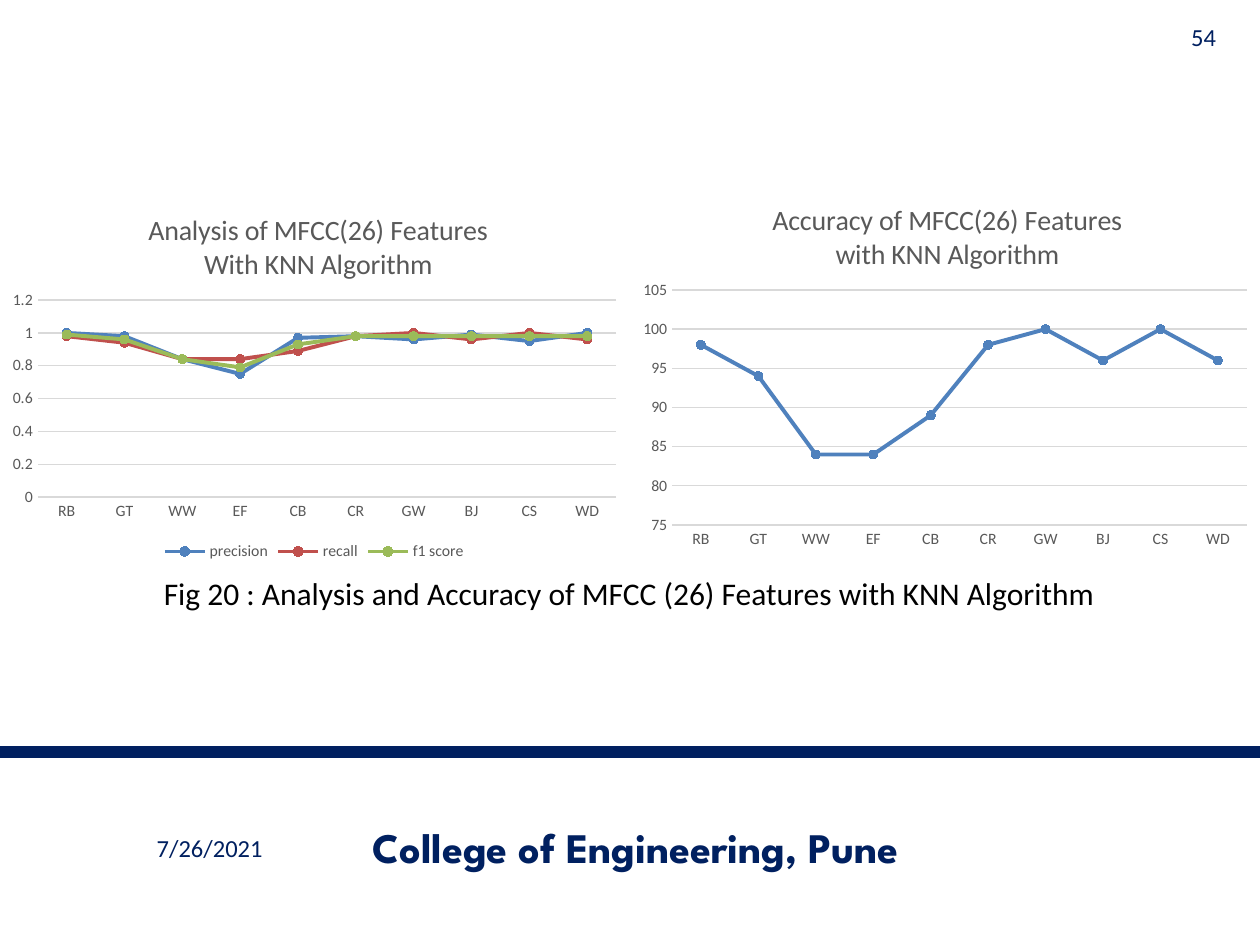
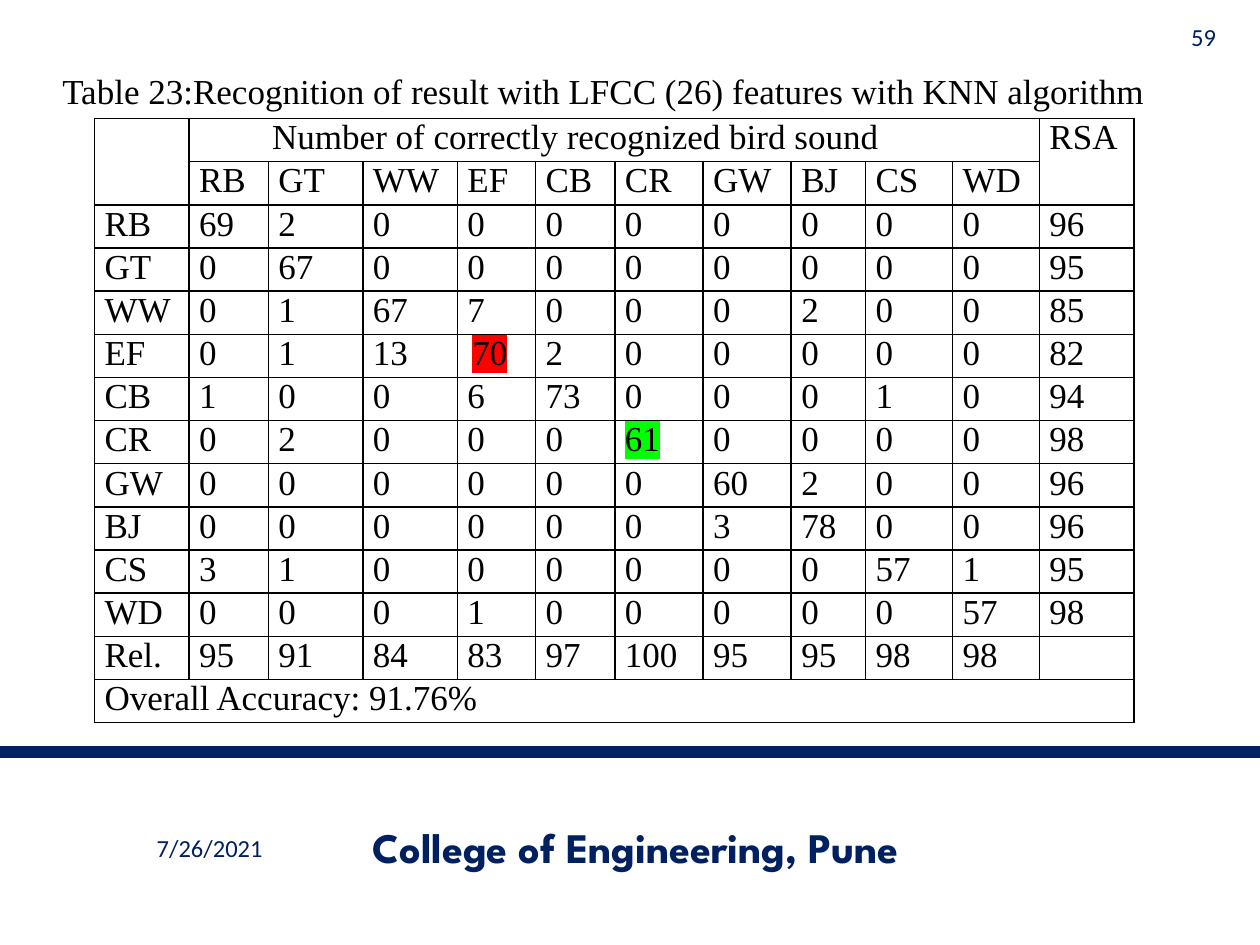
from lxml.etree import SubElement
from pptx import Presentation
from pptx.chart.data import CategoryChartData
from pptx.dml.color import RGBColor
from pptx.enum.chart import XL_CHART_TYPE, XL_LEGEND_POSITION, XL_MARKER_STYLE, XL_TICK_MARK
from pptx.enum.shapes import MSO_CONNECTOR
from pptx.enum.text import MSO_ANCHOR, PP_ALIGN
from pptx.oxml.ns import qn
from pptx.util import Inches, Pt

NAVY = RGBColor(0x00, 0x20, 0x60)
BLACK = RGBColor(0x00, 0x00, 0x00)
CHART_TEXT = RGBColor(0x59, 0x59, 0x59)
GRID_GRAY = RGBColor(0xD9, 0xD9, 0xD9)
SERIES_COLORS = [
    RGBColor(0x4F, 0x81, 0xBD),
    RGBColor(0xC0, 0x50, 0x4D),
    RGBColor(0x9B, 0xBB, 0x59),
]
WEAK_RESULT = RGBColor(0xFF, 0x00, 0x00)
BEST_RESULT = RGBColor(0x00, 0xFF, 0x00)

BODY_FONT = "Calibri"
COLLEGE_FONT = "League Spartan"
TABLE_FONT = "Times New Roman"

BIRDS = ["RB", "GT", "WW", "EF", "CB", "CR", "GW", "BJ", "CS", "WD"]
SCORES = {
    "precision": [1, 0.98, 0.84, 0.75, 0.97, 0.98, 0.96, 0.99, 0.95, 1],
    "recall": [0.98, 0.94, 0.84, 0.84, 0.89, 0.98, 1, 0.96, 1, 0.96],
    "f1 score": [0.99, 0.96, 0.84, 0.79, 0.93, 0.98, 0.98, 0.98, 0.98, 0.98],
}
ACCURACY = {"Series 1": [98, 94, 84, 84, 89, 98, 100, 96, 100, 96]}

# One row per bird: recognized counts in the order of BIRDS, then RSA
RECOGNIZED = [
    [69, 2, 0, 0, 0, 0, 0, 0, 0, 0, 96],
    [0, 67, 0, 0, 0, 0, 0, 0, 0, 0, 95],
    [0, 1, 67, 7, 0, 0, 0, 2, 0, 0, 85],
    [0, 1, 13, 70, 2, 0, 0, 0, 0, 0, 82],
    [1, 0, 0, 6, 73, 0, 0, 0, 1, 0, 94],
    [0, 2, 0, 0, 0, 61, 0, 0, 0, 0, 98],
    [0, 0, 0, 0, 0, 0, 60, 2, 0, 0, 96],
    [0, 0, 0, 0, 0, 0, 3, 78, 0, 0, 96],
    [3, 1, 0, 0, 0, 0, 0, 0, 57, 1, 95],
    [0, 0, 0, 1, 0, 0, 0, 0, 0, 57, 98],
]
RELIABILITY = [95, 91, 84, 83, 97, 100, 95, 95, 98, 98]
COLUMN_WIDTHS = [0.75, 0.63, 0.75, 0.75, 0.62, 0.63, 0.7, 0.7, 0.59, 0.69, 0.69, 0.75]
TABLE_HEIGHT = 4.8
CELL_INDENT = 0.08


def set_font(font, size, color, name=BODY_FONT, bold=False):
    font.size = Pt(size)
    font.name = name
    font.bold = bold
    font.color.rgb = color


def add_text(slide, text, box, size, color=BLACK, name=BODY_FONT, bold=False,
             align=PP_ALIGN.CENTER, anchor=MSO_ANCHOR.TOP):
    frame = slide.shapes.add_textbox(*map(Inches, box)).text_frame
    frame.word_wrap = True
    frame.vertical_anchor = anchor
    paragraph = frame.paragraphs[0]
    paragraph.text = text
    paragraph.alignment = align
    set_font(paragraph.font, size, color, name, bold)


def add_base_slide(presentation, number):
    """Add a blank slide with the shared rule, date, college name and number."""
    slide = presentation.slides.add_slide(presentation.slide_layouts[6])
    rule = slide.shapes.add_connector(
        MSO_CONNECTOR.STRAIGHT, 0, Inches(5.97), Inches(10), Inches(5.97))
    rule.line.color.rgb = NAVY
    rule.line.width = Pt(6.5)
    SubElement(rule._element.spPr, qn("a:effectLst"))
    middle = MSO_ANCHOR.MIDDLE
    add_text(slide, "7/26/2021", (0.5, 6.53, 2.33, 0.4), 14, NAVY, anchor=middle)
    add_text(slide, "College of Engineering, Pune", (2.42, 6.52, 5.25, 0.4), 24, NAVY,
             COLLEGE_FONT, bold=True, anchor=middle)
    add_text(slide, str(number), (9.25, 0.15, 0.5, 0.28), 14, NAVY,
             align=PP_ALIGN.RIGHT, anchor=middle)
    return slide


def set_layout(element, position, **fractions):
    """Place a chart part at fractions (x, y, w, h) of the chart's size."""
    for old_layout in element.findall(qn("c:layout")):
        element.remove(old_layout)
    layout = element.makeelement(qn("c:layout"))
    element.insert(position, layout)
    manual = SubElement(layout, qn("c:manualLayout"))
    if "w" in fractions:
        SubElement(manual, qn("c:layoutTarget")).set("val", "inner")
    for side in "xy":
        SubElement(manual, qn(f"c:{side}Mode")).set("val", "edge")
    for side, fraction in fractions.items():
        SubElement(manual, qn(f"c:{side}")).set("val", str(fraction))


def style_axes(chart, minimum, maximum, step):
    values, categories = chart.value_axis, chart.category_axis
    for axis in (values, categories):
        axis.major_tick_mark = axis.minor_tick_mark = XL_TICK_MARK.NONE
        set_font(axis.tick_labels.font, 9, CHART_TEXT)
    values.minimum_scale = minimum
    values.maximum_scale = maximum
    values.major_unit = step
    values.format.line.fill.background()
    for line in (categories.format.line, values.major_gridlines.format.line):
        line.color.rgb = GRID_GRAY
        line.width = Pt(0.75)


def add_line_chart(slide, box, title_lines, title_place, series_values, plot_area, scale):
    data = CategoryChartData()
    data.categories = BIRDS
    for name, values in series_values.items():
        data.add_series(name, values)
    chart = slide.shapes.add_chart(
        XL_CHART_TYPE.LINE_MARKERS, *map(Inches, box), data).chart
    set_font(chart.font, 10, BLACK)

    chart.has_title = True
    title = chart.chart_title
    title.text_frame.text = "\n".join(title_lines)
    for paragraph in title.text_frame.paragraphs:
        set_font(paragraph.font, 16, CHART_TEXT)
    title.include_in_layout = False
    set_layout(title._element, 1, **title_place)
    set_layout(chart._chartSpace.chart.plotArea, 0, **plot_area)

    style_axes(chart, *scale)
    chart.has_legend = len(series_values) > 1
    if chart.has_legend:
        chart.legend.position = XL_LEGEND_POSITION.BOTTOM
        chart.legend.include_in_layout = False
        set_font(chart.legend.font, 9, CHART_TEXT)

    plot = chart.plots[0]
    plot.vary_by_categories = False
    for series, color in zip(plot.series, SERIES_COLORS):
        series.smooth = False
        series.format.line.color.rgb = color
        series.format.line.width = Pt(2.25)
        marker = series.marker
        marker.style = XL_MARKER_STYLE.CIRCLE
        marker.size = 5
        marker.format.fill.solid()
        marker.format.fill.fore_color.rgb = color
        marker.format.line.color.rgb = color


def add_borders(cell):
    properties = cell._tc.get_or_add_tcPr()
    for position, side in enumerate(("lnL", "lnR", "lnT", "lnB")):
        line = properties.makeelement(qn(f"a:{side}"), {"w": str(Pt(1))})
        properties.insert(position, line)
        fill = SubElement(line, qn("a:solidFill"))
        SubElement(fill, qn("a:srgbClr")).set("val", str(BLACK))


def write_cell(cell, text, indent=CELL_INDENT):
    cell.margin_left = Inches(indent)
    cell.margin_right = cell.margin_top = cell.margin_bottom = 0
    paragraph = cell.text_frame.paragraphs[0]
    paragraph.text = str(text)
    set_font(paragraph.font, 20, BLACK, TABLE_FONT)
    cell.fill.background()
    add_borders(cell)


def highlight(cell, color):
    properties = cell.text_frame.paragraphs[0].runs[0]._r.get_or_add_rPr()
    mark = SubElement(properties, qn("a:highlight"))
    SubElement(mark, qn("a:srgbClr")).set("val", str(color))


def add_recognition_table(slide):
    rows = [
        ["", "Number of correctly recognized bird sound"] + [""] * 9 + ["RSA"],
        ["", *BIRDS, ""],
        *([bird, *counts] for bird, counts in zip(BIRDS, RECOGNIZED)),
        ["Rel.", *RELIABILITY, ""],
        ["Overall Accuracy: 91.76%"] + [""] * 11,
    ]
    table = slide.shapes.add_table(
        len(rows), len(COLUMN_WIDTHS), Inches(0.75), Inches(0.94),
        Inches(sum(COLUMN_WIDTHS)), Inches(TABLE_HEIGHT)).table
    table.first_row = table.horz_banding = False
    for column, width in zip(table.columns, COLUMN_WIDTHS):
        column.width = Inches(width)
    for row_index, row in enumerate(rows):
        table.rows[row_index].height = Inches(TABLE_HEIGHT / len(rows))
        for column_index, text in enumerate(row):
            write_cell(table.cell(row_index, column_index), text)

    write_cell_indents = {(0, 1): 0.66, (5, 4): 0.12}
    for place, indent in write_cell_indents.items():
        table.cell(*place).margin_left = Inches(indent)
    highlight(table.cell(5, 4), WEAK_RESULT)
    highlight(table.cell(7, 6), BEST_RESULT)

    last = len(rows) - 1
    for start, end in [((0, 0), (1, 0)), ((0, 1), (0, 10)),
                       ((0, 11), (1, 11)), ((last, 0), (last, 11))]:
        table.cell(*start).merge(table.cell(*end))


def add_chart_slide(presentation):
    slide = add_base_slide(presentation, 54)
    add_line_chart(
        slide, (0, 1.5, 4.99, 2.99),
        ["Analysis of MFCC(26) Features", "With KNN Algorithm"], {"x": 0.23, "y": 0.05},
        SCORES, {"x": 0.06, "y": 0.295, "w": 0.92, "h": 0.523}, (0, 1.2, 0.2))
    add_line_chart(
        slide, (5, 1.42, 5, 3),
        ["Accuracy of MFCC(26) Features", "with KNN Algorithm"], {"x": 0.22, "y": 0.05},
        ACCURACY, {"x": 0.067, "y": 0.294, "w": 0.912, "h": 0.622}, (75, 105, 5))
    add_text(slide, "Fig 20 : Analysis and Accuracy of MFCC (26) Features with KNN Algorithm",
             (0.33, 4.51, 9.33, 0.4), 18)


def add_table_slide(presentation):
    slide = add_base_slide(presentation, 59)
    add_text(slide, "Table 23:Recognition of result with LFCC (26) features with KNN algorithm",
             (0.33, 0.5, 8.92, 0.44), 20, name=TABLE_FONT)
    add_recognition_table(slide)


def main():
    presentation = Presentation()
    presentation.slide_width = Inches(10)
    presentation.slide_height = Inches(7.5)
    add_chart_slide(presentation)
    add_table_slide(presentation)
    presentation.save("out.pptx")


if __name__ == "__main__":
    main()
